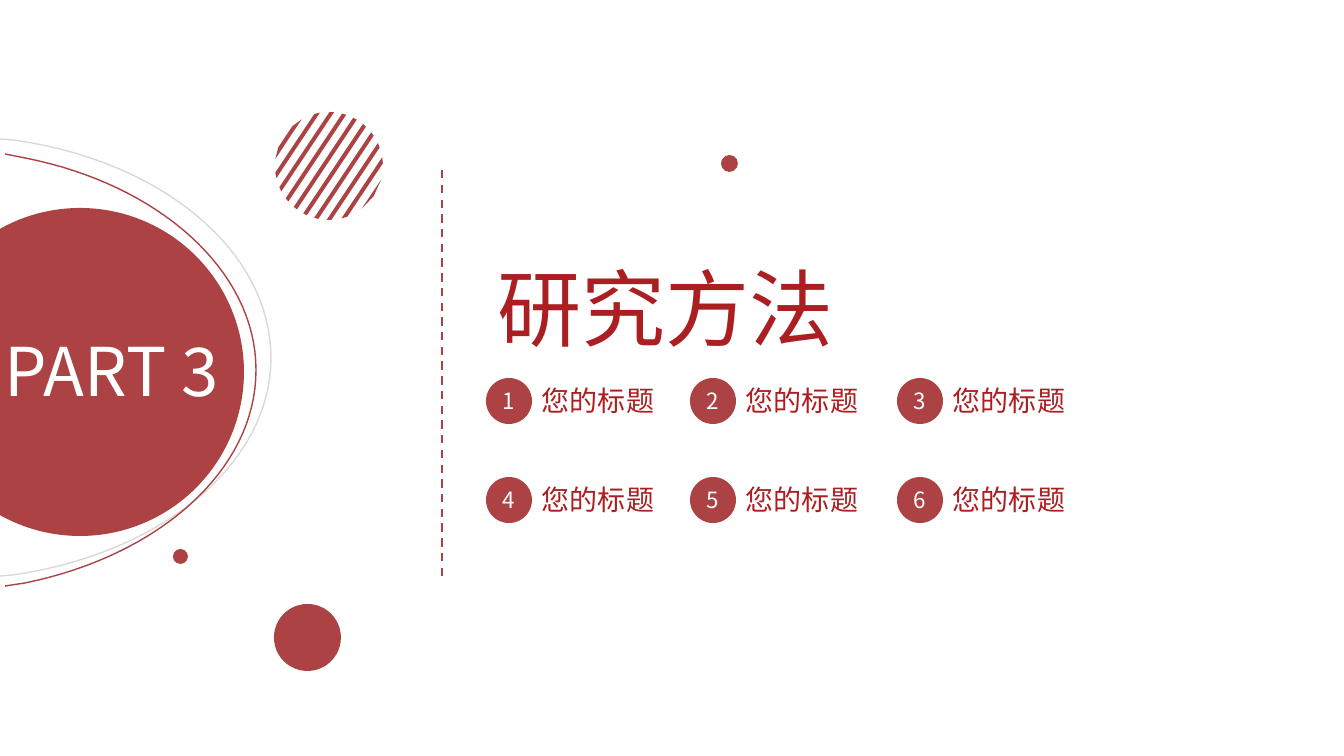
from math import sqrt

from lxml import etree
from pptx import Presentation
from pptx import util as u
from pptx.dml.color import RGBColor
from pptx.enum import dml, shapes, text
from pptx.oxml.ns import qn

PX = 914400 / 100.8
RED = RGBColor(0xAC, 0x42, 0x43)
DEEP_RED = RGBColor(0xAB, 0x1E, 0x21)
GREY = RGBColor(0xD9, 0xD9, 0xD9)
WHITE = RGBColor(0xFF, 0xFF, 0xFF)
FONT = "Noto Sans CJK SC"

# Each arc: start, start of the curve, then two Bezier triples and the end.
OUTER_ARC = [(-11, 138), (13, 140), (160, 160), (271, 250), (271, 358),
             (271, 465), (160, 554), (13, 575), (-11, 577)]
INNER_ARC = [(5, 154), (25, 158), (158, 184), (256, 270), (256, 370),
             (256, 471), (158, 556), (25, 583), (5, 586)]
DISCS = [(-84, 208, 328), (721, 155, 17), (173, 549, 15), (274, 604, 67)]
COLUMNS = [486, 690, 897]
ROWS = [378, 477]


def emu(*lengths):
    return [u.Emu(round(n * PX)) for n in lengths]


def write(sp, words, size, color, **frame):
    """Put one formatted run in a shape; frame holds text frame values."""
    tf = sp.text_frame
    align = frame.pop("align", text.PP_ALIGN.LEFT)
    for name, value in frame.items():
        setattr(tf, name, value)
    p = tf.paragraphs[0]
    p.alignment = align
    r = p.add_run()
    r.text = words
    for name, value in {"name": FONT, "size": u.Pt(size), "bold": False}.items():
        setattr(r.font, name, value)
    r.font.color.rgb = color
    etree.SubElement(r.font._element, qn("a:ea"), typeface=FONT)


def add_label(s, x, y, w, h, words, size, color, wrap=False):
    sp = s.shapes.add_textbox(*emu(x, y, w, h))
    write(sp, words, size, color, word_wrap=wrap,
          auto_size=text.MSO_AUTO_SIZE.SHAPE_TO_FIT_TEXT)


def add_disc(s, x, y, size):
    sp = s.shapes.add_shape(shapes.MSO_SHAPE.OVAL, *emu(x, y, size, size))
    sp.shadow.inherit = False
    sp.fill.solid()
    sp.fill.fore_color.rgb = RED
    sp.line.fill.background()
    return sp


def bezier(points, steps=32):
    """Sample a cubic curve, leaving out its first point."""
    for i in range(1, steps + 1):
        t = i / steps
        weights = ((1 - t) ** 3, 3 * t * (1 - t) ** 2, 3 * t * t * (1 - t), t ** 3)
        yield tuple(sum(k * pt[axis] for k, pt in zip(weights, points))
                    for axis in (0, 1))


def add_outline(s, contours, close):
    builder = None
    for first, *rest in contours:
        if builder is None:
            builder = s.shapes.build_freeform(*emu(*first))
        else:
            builder.move_to(*emu(*first))
        builder.add_line_segments([emu(*pt) for pt in rest], close=close)
    sp = builder.convert_to_shape()
    sp.shadow.inherit = False
    return sp


def add_arc(s, pts, color):
    curve = [*pts[:2], *bezier(pts[1:5]), *bezier(pts[4:8]), pts[8]]
    sp = add_outline(s, [curve], close=False)
    sp.fill.background()
    sp.line.color.rgb = color
    sp.line.width = u.Pt(1)


def add_striped_disc(s, cx, cy, radius):
    """Cut ten parallel slanted bands to the edge of a circle."""
    nx, ny = 3 / sqrt(13), 2 / sqrt(13)
    bands = []
    for i in range(10):
        corners = []
        near = 51 - 11.5 * i
        for offset, sign in ((near, 1), (near, -1), (near + 4, -1), (near + 4, 1)):
            offset = min(offset, radius)
            half = sign * sqrt(radius ** 2 - offset ** 2)
            corners.append((cx + nx * offset - ny * half,
                            cy + ny * offset + nx * half))
        bands.append(corners)
    sp = add_outline(s, bands, close=True)
    sp.fill.solid()
    sp.fill.fore_color.rgb = RED
    sp.line.fill.background()


def add_divider(s, x, top, bottom):
    line = s.shapes.add_connector(shapes.MSO_CONNECTOR.STRAIGHT,
                                  *emu(x, bottom, x, top))
    line.line.color.rgb = RED
    line.line.width = u.Pt(1.5)
    line.line.dash_style = dml.MSO_LINE.DASH
    etree.SubElement(line._element.spPr, qn("a:effectLst"))


def add_title(s, x, y, w, h, words):
    sp = s.shapes.title
    sp.left, sp.top, sp.width, sp.height = emu(x, y, w, h)
    write(sp, words, 60, DEEP_RED, align=text.PP_ALIGN.CENTER, word_wrap=False,
          vertical_anchor=text.MSO_ANCHOR.TOP,
          auto_size=text.MSO_AUTO_SIZE.SHAPE_TO_FIT_TEXT)


def add_topic(s, x, y, number):
    add_label(s, x + 46, y + 1, 133, 44, "您的标题", 20, DEEP_RED)
    write(add_disc(s, x, y, 46), str(number), 16, WHITE,
          align=text.PP_ALIGN.CENTER, vertical_anchor=text.MSO_ANCHOR.MIDDLE)


def main():
    prs = Presentation()
    prs.slide_width, prs.slide_height = emu(1344, 756)
    s = prs.slides.add_slide(prs.slide_layouts[5])

    add_arc(s, OUTER_ARC, GREY)
    add_arc(s, INNER_ARC, RED)
    for disc in DISCS:
        add_disc(s, *disc)
    add_striped_disc(s, 329, 166, 54)
    add_divider(s, 442, 169, 576)
    add_label(s, -5, 324, 261, 92, "PART 3", 48, WHITE, wrap=True)

    add_title(s, 486, 251, 360, 112, "研究方法")
    cells = [(x, y) for y in ROWS for x in COLUMNS]
    for number, (x, y) in enumerate(cells, 1):
        add_topic(s, x, y, number)

    prs.save("out.pptx")


if __name__ == "__main__":
    main()
